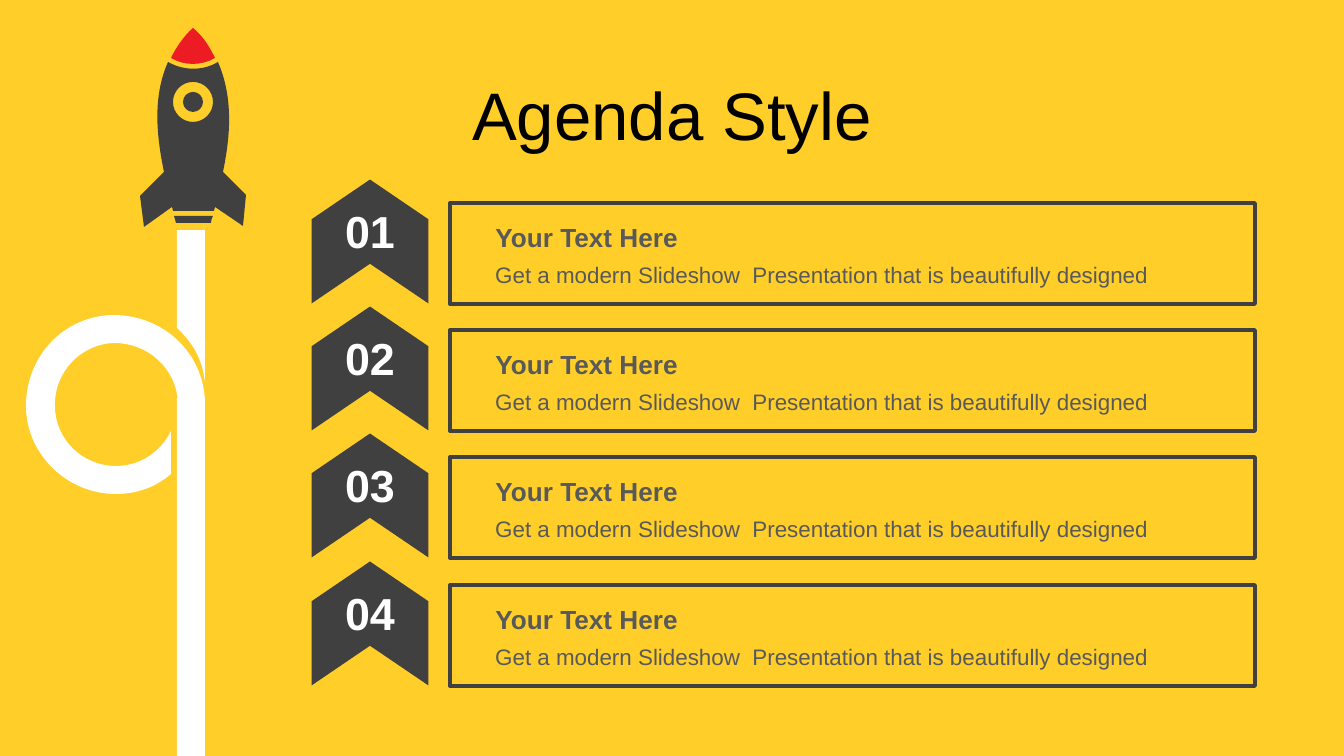
from dataclasses import dataclass
from typing import NamedTuple

from pptx import Presentation, util as u
from pptx.dml.color import RGBColor
from pptx.enum import shapes as sh, text as tx
from pptx.oxml import ns

SCALE = 914400 / 134.4
KIND = sh.MSO_SHAPE


@dataclass(frozen=True)
class Theme:
    back: str = "FFCE29"
    dark: str = "404040"
    gray: str = "595959"
    white: str = "FFFFFF"
    black: str = "000000"
    red: str = "ED1C24"
    font: str = "Arial"
    title: int = 36
    num: int = 24
    head: int = 14
    body: int = 12


class Box(NamedTuple):
    x: int
    y: int
    w: int
    h: int

    def down(self, step: int) -> "Box":
        return self._replace(y=self.y + step)


class Item(NamedTuple):
    num: str
    head: str
    body: str


T = Theme()
SPAN = 382  # from the first row to the last
HEAD = "Your Text Here"
BODY = "Get a modern Slideshow  Presentation that is beautifully designed"
ITEMS = [Item(f"{n:02}", HEAD, BODY) for n in range(1, 5)]

FRAME = Box(450, 203, 805, 101)
HEAD_BOX = Box(480, 213, 741, 47)
BODY_BOX = Box(480, 252, 741, 43)
ARROW = Box(308, 183, 124, 117)
NUM_BOX = Box(329, 197, 82, 67)

# Outlines: a pair is a straight step, six numbers are a Bezier curve.
LOOP = [
    [(199, 406), (205, 406), (205, 417, 203, 427, 199, 438)],
    [(113, 315), (163, 315, 203, 352, 205, 401), (178, 402),
     (176, 368, 148, 343, 114, 343), (81, 344, 54, 372, 55, 406),
     (55, 439, 82, 466, 116, 466), (140, 466, 161, 452, 171, 431),
     (171, 474), (156, 487, 137, 494, 116, 494),
     (67, 494, 26, 454, 26, 406), (26, 356, 64, 316, 113, 315)],
]
TRAIL = [[(177, 230), (205, 230), (205, 382), (202, 359, 194, 344, 177, 328)]]
HULL = [
    [(168, 62), (184, 71, 203, 71, 218, 62), (234, 99, 230, 138, 223, 172),
     (246, 195), (243, 226), (215, 207), (214, 211), (173, 211),
     (173, 209, 172, 208, 172, 207), (144, 227), (140, 196), (164, 172),
     (157, 138, 152, 98, 168, 62)],
    [(174, 216), (213, 216), (212, 218, 211, 220, 211, 223), (176, 223)],
]
NOSE = [[(193, 28), (204, 37, 210, 48, 215, 58),
         (202, 66, 184, 66, 171, 58), (176, 48, 183, 37, 193, 28)]]


def px(n: float) -> u.Emu:
    return u.Emu(round(n * SCALE))


def rgb(code: str) -> RGBColor:
    return RGBColor.from_string(code)


def place(box: Box) -> list[u.Emu]:
    return [px(n) for n in box]


def paint(shape, fill: str = "", line: str = "") -> None:
    shape.shadow.inherit = False
    if fill:
        shape.fill.solid()
        shape.fill.fore_color.rgb = rgb(fill)
    else:
        shape.fill.background()
    if line:
        shape.line.color.rgb = rgb(line)
        shape.line.width = u.Pt(2)
    else:
        shape.line.fill.background()


def add(tree, kind, box: Box, fill: str = "", line: str = ""):
    shape = tree.add_shape(kind, *place(box))
    paint(shape, fill, line)
    return shape


def write(shape, words: str, size: int, color: str, bold: bool = False,
          align=tx.PP_ALIGN.LEFT, anchor=tx.MSO_ANCHOR.TOP,
          fit=tx.MSO_AUTO_SIZE.SHAPE_TO_FIT_TEXT) -> None:
    frame = shape.text_frame
    frame.word_wrap = True
    frame.auto_size = fit
    frame.vertical_anchor = anchor
    para = frame.paragraphs[0]
    para.alignment = align
    run = para.add_run()
    run.text = words
    run.font.name = T.font
    run.font.size = u.Pt(size)
    run.font.bold = bold
    run.font.color.rgb = rgb(color)


def ring(x: int, y: int, r: int) -> list[tuple]:
    """A circle as four curves."""
    k = 0.55 * r
    return [(x, y - r),
            (x + k, y - r, x + r, y - k, x + r, y),
            (x + r, y + k, x + k, y + r, x, y + r),
            (x - k, y + r, x - r, y + k, x - r, y),
            (x - r, y - k, x - k, y - r, x, y - r)]


def bend(shape, paths: list[list[tuple]]) -> None:
    """Join each curve's three line steps into one Bezier step."""
    root = shape._element.find(".//" + ns.qn("a:path"))
    nodes = iter(root.findall(ns.qn("a:lnTo")))
    for path in paths:
        for step in path[1:]:
            node = next(nodes)
            if len(step) == 6:
                node.tag = ns.qn("a:cubicBezTo")
                for _ in range(2):
                    extra = next(nodes)
                    node.append(extra[0])
                    root.remove(extra)


def draw(tree, paths: list[list[tuple]], fill: str) -> None:
    pen = None
    for path in paths:
        pts = [(px(step[i]), px(step[i + 1]))
               for step in path for i in range(0, len(step), 2)]
        if pen is None:
            pen = tree.build_freeform(*pts[0], scale=1.0)
        else:
            pen.move_to(*pts[0])
        pen.add_line_segments(pts[1:], close=True)
    shape = pen.convert_to_shape()
    bend(shape, paths)
    paint(shape, fill)


def add_row(tree, item: Item, step: int) -> None:
    add(tree, KIND.RECTANGLE, FRAME.down(step), line=T.dark)
    group = tree.add_group_shape().shapes
    for box, words, size, bold in ((HEAD_BOX, item.head, T.head, True),
                                   (BODY_BOX, item.body, T.body, False)):
        shape = add(group, KIND.ROUND_2_SAME_RECTANGLE, box.down(step))
        write(shape, words, size, T.gray, bold)
    arrow = add(tree, KIND.CHEVRON, ARROW.down(step), T.dark)
    arrow.adjustments[0] = 0.34
    arrow.rotation = 270
    num = tree.add_textbox(*place(NUM_BOX.down(step)))
    write(num, item.num, T.num, T.white, True, tx.PP_ALIGN.CENTER)


def main() -> None:
    deck = Presentation()
    deck.slide_width, deck.slide_height = px(1344), px(756)
    slide = deck.slides.add_slide(deck.slide_layouts[5])
    slide.background.fill.solid()
    slide.background.fill.fore_color.rgb = rgb(T.back)
    tree = slide.shapes

    title = tree.title
    title.left, title.top, title.width, title.height = place(Box(0, 71, 1344, 85))
    write(title, "Agenda Style", T.title, T.black, align=tx.PP_ALIGN.CENTER,
          anchor=tx.MSO_ANCHOR.MIDDLE, fit=tx.MSO_AUTO_SIZE.NONE)

    draw(tree, LOOP, T.white)
    draw(tree, TRAIL, T.white)
    draw(tree, HULL + [ring(193, 102, r) for r in (10, 20)], T.dark)
    add(tree, KIND.RECTANGLE, Box(177, 398, 28, 358), T.white)
    draw(tree, NOSE, T.red)
    for i, item in enumerate(ITEMS):
        add_row(tree, item, SPAN * i // (len(ITEMS) - 1))
    deck.save("out.pptx")


if __name__ == "__main__":
    main()
